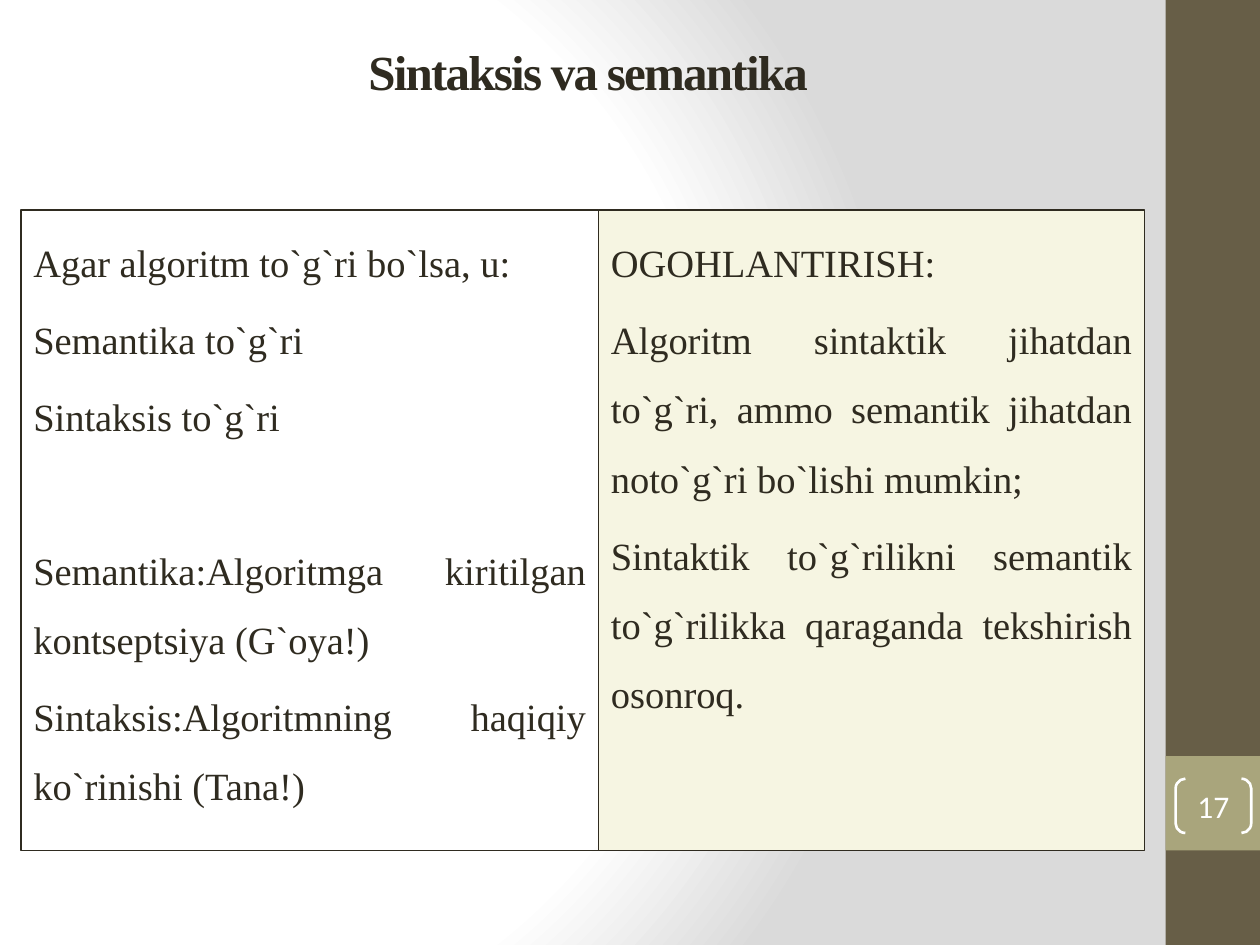
from lxml import etree
from pptx import Presentation
from pptx.dml.color import RGBColor
from pptx.enum.shapes import MSO_SHAPE
from pptx.enum.text import MSO_ANCHOR, PP_ALIGN
from pptx.oxml import parse_xml
from pptx.oxml.ns import nsdecls, qn
from pptx.util import Pt

# Content
TITLE = "Sintaksis va semantika"
PAGE_NUMBER = "17"
CORRECTNESS = [
    "Agar algoritm to`g`ri bo`lsa, u:",
    "Semantika to`g`ri",
    "Sintaksis to`g`ri",
    "Semantika:Algoritmga kiritilgan kontseptsiya (G`oya!)",
    "Sintaksis:Algoritmning haqiqiy ko`rinishi (Tana!)",
]
WARNING = [
    "OGOHLANTIRISH:",
    "Algoritm sintaktik jihatdan to`g`ri, ammo semantik jihatdan "
    "noto`g`ri bo`lishi mumkin;",
    "Sintaktik to`g`rilikni semantik to`g`rilikka qaraganda tekshirish osonroq.",
]
DEFINITIONS_START = 3  # first paragraph after the gap in CORRECTNESS

# Look
INK = RGBColor(0x2F, 0x2B, 0x20)
BROWN = RGBColor(0x67, 0x5E, 0x47)
OLIVE = RGBColor(0xA9, 0xA5, 0x7C)
CREAM = RGBColor(0xF6, 0xF5, 0xE2)
WHITE = RGBColor(0xFF, 0xFF, 0xFF)
SERIF, SANS = "Times New Roman", "Calibri"
BODY_SIZE, LINE_SPACING, SPACE_BEFORE = 22, 1.5, 4.4
GAP = 44  # one empty line with its own spacing

# Layout
SLIDE_W, SLIDE_H = 720, 540
SIDEBAR_W = 54
SIDEBAR_X = SLIDE_W - SIDEBAR_W
PANEL_X, PANEL_Y, PANEL_H = 12, 120, 366
PANELS = [  # paragraphs, width, fill, paragraph that follows a gap
    (CORRECTNESS, 330, None, DEFINITIONS_START),
    (WARNING, 312, CREAM, None),
]

deck = Presentation()
deck.slide_width, deck.slide_height = Pt(SLIDE_W), Pt(SLIDE_H)
slide = deck.slides.add_slide(deck.slide_layouts[5])


def add_box(kind, x, y, w, h, fill=None, line=None, line_width=0.75):
    box = slide.shapes.add_shape(kind, Pt(x), Pt(y), Pt(w), Pt(h))
    box.shadow.inherit = False
    if fill is None:
        box.fill.background()
    else:
        box.fill.solid()
        box.fill.fore_color.rgb = fill
    if line is None:
        box.line.fill.background()
    else:
        box.line.color.rgb = line
        box.line.width = Pt(line_width)
    return box


def style(paragraph, size, face, color, align, bold=False):
    paragraph.alignment = align
    font = paragraph.font
    font.size, font.name, font.bold = Pt(size), face, bold
    font.color.rgb = color


# Background: radial gradient from white to grey
background = slide.background.fill
background.gradient()
gradient = slide.background._cSld.find(".//" + qn("a:gradFill"))
for part in list(gradient):
    gradient.remove(part)
stops = etree.SubElement(gradient, qn("a:gsLst"))
for position, shade in [(0, "FFFFFF"), (75, "FFFFFF"), (100, "DADADA")]:
    stop = etree.SubElement(stops, qn("a:gs"), pos=str(position * 1000))
    etree.SubElement(stop, qn("a:srgbClr"), val=shade)
gradient.append(parse_xml(
    f'<a:path {nsdecls("a")} path="circle">'
    '<a:fillToRect l="20000" t="50000" r="100000" b="50000"/></a:path>'))

# Sidebar
add_box(MSO_SHAPE.RECTANGLE, SIDEBAR_X, 0, SIDEBAR_W, SLIDE_H, BROWN)
add_box(MSO_SHAPE.RECTANGLE, SIDEBAR_X, 432, SIDEBAR_W, SIDEBAR_W, OLIVE)

# Text panels, side by side
x = PANEL_X
for paragraphs, width, fill, after_gap in PANELS:
    panel = add_box(MSO_SHAPE.RECTANGLE, x, PANEL_Y, width, PANEL_H, fill, INK)
    frame = panel.text_frame
    frame.word_wrap = True
    frame.vertical_anchor = MSO_ANCHOR.TOP
    frame.text = "\n".join(paragraphs)
    for index, paragraph in enumerate(frame.paragraphs):
        style(paragraph, BODY_SIZE, SERIF, INK, PP_ALIGN.JUSTIFY)
        paragraph.line_spacing = LINE_SPACING
        paragraph.space_before = Pt(SPACE_BEFORE + (GAP if index == after_gap else 0))
    x += width

# Page number in brackets
page = add_box(MSO_SHAPE.DOUBLE_BRACKET, 671.8, 445, 43.2, 31, None, WHITE, 1.5)
page.adjustments[0] = 0.18
frame = page.text_frame
frame.margin_left = frame.margin_right = frame.margin_top = frame.margin_bottom = 0
frame.vertical_anchor = MSO_ANCHOR.MIDDLE
frame.text = PAGE_NUMBER
style(frame.paragraphs[0], 18, SANS, WHITE, PP_ALIGN.CENTER)

# Title
title = slide.shapes.title
title.left, title.top, title.width, title.height = Pt(36), Pt(21.6), Pt(600), Pt(38.2)
frame = title.text_frame
frame.text = TITLE
frame.vertical_anchor = MSO_ANCHOR.MIDDLE
style(frame.paragraphs[0], 28, SERIF, INK, PP_ALIGN.CENTER, bold=True)
frame.paragraphs[0].runs[0]._r.get_or_add_rPr().set("spc", "-100")

deck.save("out.pptx")
